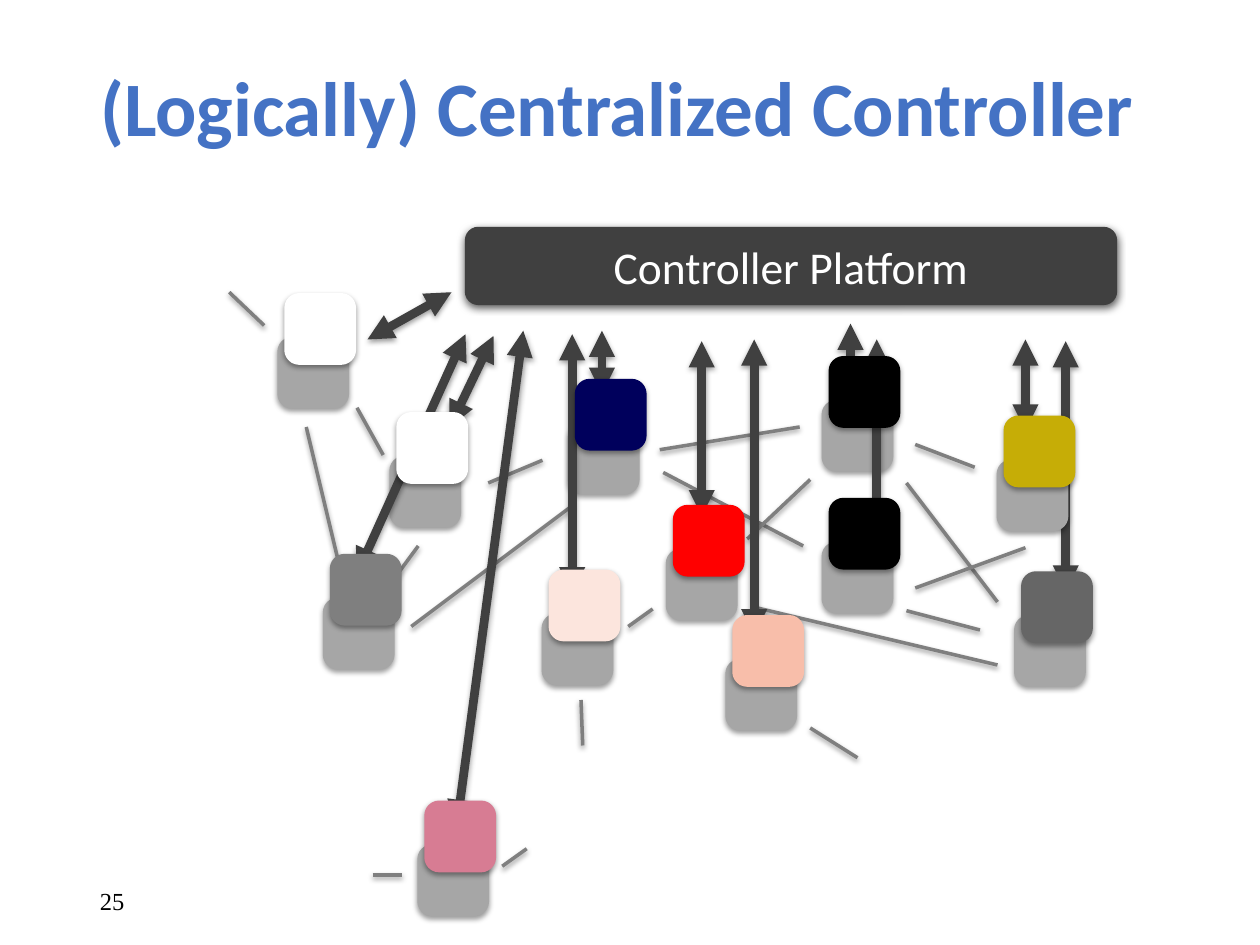
from typing import Any, NamedTuple

from lxml import etree
from pptx import Presentation
from pptx.dml.color import RGBColor
from pptx.enum.shapes import MSO_CONNECTOR, MSO_SHAPE
from pptx.enum.text import MSO_ANCHOR, PP_ALIGN
from pptx.oxml.ns import qn
from pptx.util import Pt

STRAIGHT = MSO_CONNECTOR.STRAIGHT
ROUNDED = MSO_SHAPE.ROUNDED_RECTANGLE
MIDDLE = MSO_ANCHOR.MIDDLE
LEFT, CENTER = PP_ALIGN.LEFT, PP_ALIGN.CENTER

BLUE = RGBColor(0x44, 0x72, 0xC4)
WHITE = RGBColor(0xFF, 0xFF, 0xFF)
BLACK = RGBColor(0x00, 0x00, 0x00)
DARK = RGBColor(0x40, 0x40, 0x40)
SLATE = RGBColor(0x66, 0x66, 0x66)
GRAY = RGBColor(0x7F, 0x7F, 0x7F)
SILVER = RGBColor(0xA6, 0xA6, 0xA6)
NAVY = RGBColor(0x00, 0x00, 0x5C)
BLUSH = RGBColor(0xFC, 0xE5, 0xDD)
PEACH = RGBColor(0xF8, 0xBE, 0xAA)
RED = RGBColor(0xFF, 0x00, 0x00)
ROSE = RGBColor(0xD7, 0x7C, 0x93)
GOLD = RGBColor(0xC6, 0xAD, 0x06)


class Shadow(NamedTuple):
    blur: float
    distance: float
    opacity: int


class Segment(NamedTuple):
    x1: float
    y1: float
    x2: float
    y2: float


class Switch(NamedTuple):
    left: float
    top: float
    color: RGBColor


SOFT = Shadow(3.1, 1.6, 38)
STRONG = Shadow(4.5, 1.5, 63)
SWITCH_SIZE = 36
AGENT_DX, AGENT_DY = 4, -25  # offset of the agent above its switch

LINKS = [
    Segment(204, 233, 219, 260), Segment(175, 244, 197, 336),
    Segment(239, 312, 225, 331), Segment(518, 349, 560, 360),
    Segment(518, 276, 570, 344), Segment(279, 276, 310, 263),
    Segment(235, 358, 327, 289), Segment(377, 257, 457, 244),
    Segment(379, 270, 459, 312), Segment(523, 254, 557, 267),
    Segment(586, 313, 523, 336), Segment(463, 416, 490, 433),
    Segment(332, 400, 333, 426), Segment(431, 347, 570, 380),
    Segment(427, 308, 463, 274), Segment(373, 348, 359, 358),
    Segment(131, 167, 151, 186), Segment(213, 500, 230, 500),
    Segment(301, 485, 287, 495),
]
CONTROL_ARROWS = [
    Segment(258, 167, 210, 194), Segment(266, 191, 204, 328),
    Segment(282, 192, 257, 244), Segment(327, 191, 327, 339),
    Segment(344, 189, 344, 225), Segment(486, 185, 486, 222),
    Segment(401, 195, 401, 295), Segment(431, 194, 431, 363),
    Segment(501, 194, 501, 302), Segment(609, 195, 609, 338),
    Segment(586, 194, 586, 246), Segment(299, 189, 261, 472),
]
SWITCHES = [
    Switch(161, 195, WHITE), Switch(187, 344, GRAY),
    Switch(225, 263, WHITE), Switch(582, 354, SLATE),
    Switch(472, 312, BLACK), Switch(472, 231, BLACK),
    Switch(327, 244, NAVY), Switch(312, 353, BLUSH),
    Switch(417, 379, PEACH), Switch(383, 316, RED),
    Switch(241, 485, ROSE), Switch(572, 265, GOLD),
]


def set_shadow(item: Any, shadow: Shadow) -> None:
    effects = etree.SubElement(item.element.spPr, qn("a:effectLst"))
    outer = etree.SubElement(
        effects, qn("a:outerShdw"), blurRad=str(Pt(shadow.blur)),
        dist=str(Pt(shadow.distance)), dir="5400000", rotWithShape="0")
    color = etree.SubElement(outer, qn("a:srgbClr"), val=str(BLACK))
    etree.SubElement(color, qn("a:alpha"), val=str(shadow.opacity * 1000))


def add_line(shapes: Any, segment: Segment, color: RGBColor, width: float,
             arrows: bool = False) -> None:
    line = shapes.add_connector(STRAIGHT, *(Pt(value) for value in segment))
    line.line.color.rgb = color
    line.line.width = Pt(width)
    if arrows:
        outline = line.line._get_or_add_ln()
        for end in ("a:headEnd", "a:tailEnd"):
            etree.SubElement(outline, qn(end), type="triangle")
    set_shadow(line, SOFT)


def add_block(shapes: Any, left: float, top: float, width: float,
              height: float, color: RGBColor, line_width: float,
              shadow: Shadow) -> Any:
    block = shapes.add_shape(ROUNDED, Pt(left), Pt(top), Pt(width), Pt(height))
    block.fill.solid()
    block.fill.fore_color.rgb = color
    block.line.color.rgb = color
    block.line.width = Pt(line_width)
    set_shadow(block, shadow)
    return block


def add_square(shapes: Any, left: float, top: float, color: RGBColor) -> None:
    add_block(shapes, left, top, SWITCH_SIZE, SWITCH_SIZE, color, 5, SOFT)


def write_text(box: Any, text: str, align: Any, color: RGBColor,
               font_format: dict[str, Any]) -> None:
    frame = box.text_frame
    frame.word_wrap = True
    frame.vertical_anchor = MIDDLE
    para = frame.paragraphs[0]
    para.alignment = align
    span = para.add_run()
    span.text = text
    for name, value in font_format.items():
        setattr(span.font, name, value)
    span.font.color.rgb = color


def main() -> None:
    deck = Presentation()
    deck.slide_width, deck.slide_height = Pt(720), Pt(540)
    page = deck.slides.add_slide(deck.slide_layouts[5])
    shapes = page.shapes

    # Title and page number
    title = shapes.title
    place = {"left": 50, "top": 12, "width": 620, "height": 104}
    for name, value in place.items():
        setattr(title, name, Pt(value))
    write_text(title, "(Logically) Centralized Controller", LEFT, BLUE,
               {"name": "Calibri", "size": Pt(44), "bold": True})
    title.text_frame.paragraphs[0].line_spacing = 0.9
    number = shapes.add_textbox(Pt(50), Pt(500), Pt(162), Pt(29))
    write_text(number, "25", LEFT, BLACK,
               {"name": "Times New Roman", "size": Pt(14)})

    # Network links and switches; the last switch stands over the arrows
    for link in LINKS:
        add_line(shapes, link, GRAY, 2)
    *rear_switches, front_switch = SWITCHES
    for switch in rear_switches:
        add_square(shapes, switch.left, switch.top, SILVER)

    # Control channels
    channels = shapes.add_group_shape()
    for arrow in CONTROL_ARROWS:
        add_line(channels.shapes, arrow, DARK, 5, arrows=True)
    add_square(shapes, front_switch.left, front_switch.top, SILVER)

    # Controller platform
    platform = add_block(shapes, 266, 130, 372, 44, DARK, 0.75, STRONG)
    write_text(platform, "Controller Platform", CENTER, WHITE,
               {"name": "Calibri", "size": Pt(26)})

    # Coloured agents on the switches
    agents = shapes.add_group_shape()
    for switch in SWITCHES:
        add_square(agents.shapes, switch.left + AGENT_DX,
                   switch.top + AGENT_DY, switch.color)

    deck.save("out.pptx")


if __name__ == "__main__":
    main()
